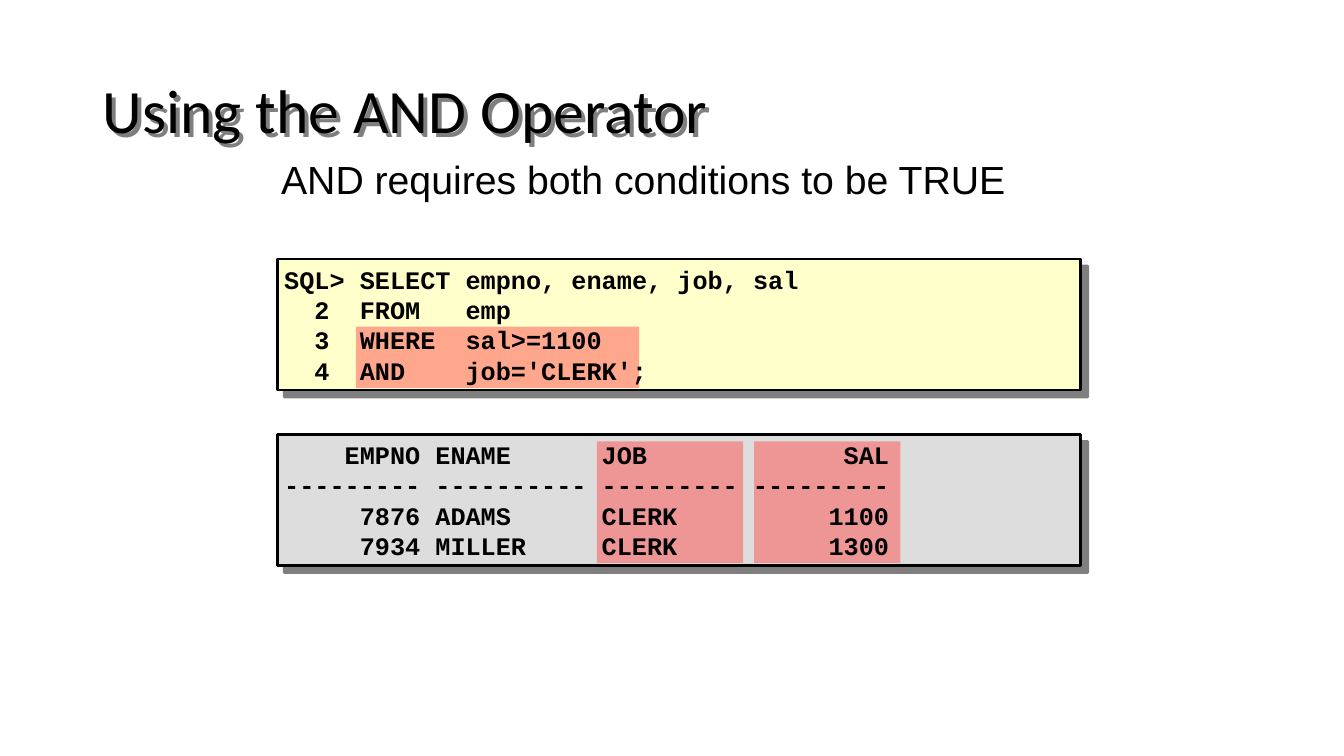
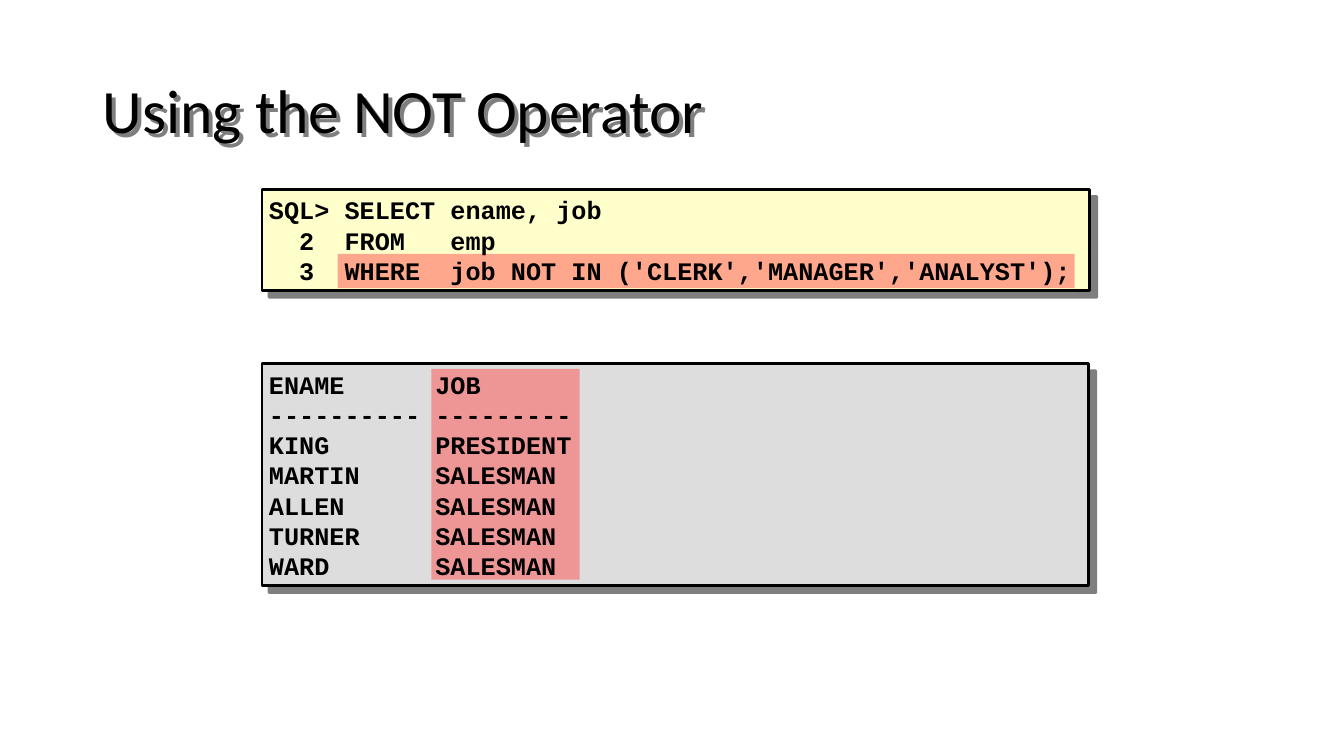
from dataclasses import dataclass

from lxml import etree
from pptx import Presentation
from pptx import util as u
from pptx.dml.color import RGBColor
from pptx.enum import shapes, text
from pptx.oxml import ns


# Shared look: colours, fonts and type sizes
@dataclass(frozen=True)
class Theme:
    ink: str = "000000"
    query_fill: str = "FFFFCC"
    result_fill: str = "DDDDDD"
    accent: str = "FF5050"
    title_font: str = "Calibri"
    body_font: str = "Arial"
    code_font: str = "Courier New"
    title_size: int = 44
    body_size: int = 28
    code_size: int = 18
    border: int = 2
    panel_shadow: float = 7.1
    title_shadow: float = 4.0


@dataclass(frozen=True)
class Box:
    """Left, top, width and height as percentages of the slide."""
    x: float
    y: float
    w: float
    h: float


@dataclass(frozen=True)
class Highlight:
    """A marked area in character columns and text rows of its panel."""
    column: float
    row: float
    columns: float
    rows: float


@dataclass(frozen=True)
class Tab:
    column: int
    align: str = "l"


@dataclass(frozen=True)
class Panel:
    box: Box
    fill: str
    tabs: tuple[Tab, ...]
    lines: tuple[str, ...]
    highlights: tuple[Highlight, ...]


@dataclass(frozen=True)
class Lesson:
    title: str
    panels: tuple[Panel, ...]
    statement: str = ""


THEME = Theme()
SLIDE_W, SLIDE_H = u.Inches(13.33), u.Inches(7.5)
CHAR_W, LINE_H = u.Inches(0.15), u.Inches(0.3)
INSET_X, INSET_Y = u.Inches(0.07), u.Inches(0.03)
CODE_SHIFT_X, CODE_SHIFT_Y = u.Inches(0.03), u.Inches(0.02)
TITLE_BOX = Box(6.9, 5.33, 86.27, 19.33)
STATEMENT_BOX = Box(20.18, 20.4, 56.11, 7.33)

QUERY_TABS = (Tab(2), Tab(5), Tab(12))
EMPLOYEE_TABS = (Tab(9, "r"), Tab(10), Tab(21), Tab(40, "r"))
JOB_TABS = (Tab(11),)

# Content
LESSONS = (
    Lesson(
        "Using the AND Operator",
        (
            Panel(
                Box(20.63, 34.27, 59.79, 17.33), THEME.query_fill, QUERY_TABS,
                ("SQL>\tSELECT empno, ename, job, sal",
                 "\t2\tFROM\temp",
                 "\t3\tWHERE\tsal>=1100",
                 "\t4\tAND\tjob='CLERK';"),
                (Highlight(4.73, 2.13, 18.73, 2.03),),
            ),
            Panel(
                Box(20.63, 57.47, 59.79, 17.33), THEME.result_fill, EMPLOYEE_TABS,
                ("\tEMPNO\tENAME\tJOB\tSAL",
                 "\t---------\t----------\t---------\t---------",
                 "\t7876\tADAMS\tCLERK\t1100",
                 "\t7934\tMILLER\tCLERK\t1300"),
                tuple(Highlight(column, 0.13, 9.67, 4.03) for column in (20.67, 31.07)),
            ),
        ),
        "AND requires both conditions to be TRUE",
    ),
    Lesson(
        "Using the NOT Operator",
        (
            Panel(
                Box(19.5, 25.07, 61.59, 13.33), THEME.query_fill, QUERY_TABS,
                ("SQL>\tSELECT ename, job",
                 "\t2\tFROM\temp",
                 "\t3\tWHERE\tjob NOT IN ('CLERK','MANAGER','ANALYST');"),
                (Highlight(4.53, 2.03, 48.73, 1.13),),
            ),
            Panel(
                Box(19.5, 48.13, 61.52, 29.33), THEME.result_fill, JOB_TABS,
                ("ENAME\tJOB",
                 "----------\t---------",
                 "KING\tPRESIDENT",
                 "MARTIN\tSALESMAN",
                 "ALLEN\tSALESMAN",
                 "TURNER\tSALESMAN",
                 "WARD\tSALESMAN"),
                (Highlight(10.73, 0.07, 9.8, 6.97),),
            ),
        ),
    ),
)


# Helpers
def place(box: Box) -> tuple[int, int, int, int]:
    return (int(SLIDE_W * box.x / 100), int(SLIDE_H * box.y / 100),
            int(SLIDE_W * box.w / 100), int(SLIDE_H * box.h / 100))


def add_alpha(color) -> None:
    etree.SubElement(color, ns.qn("a:alpha"), val="50000")


def cast_shadow(shape, distance: float) -> None:
    """Half-transparent shadow towards the lower right."""
    shape.shadow.inherit = False
    effects = shape._element.spPr.find(ns.qn("a:effectLst"))
    shadow = etree.SubElement(effects, ns.qn("a:outerShdw"), dist=str(u.Pt(distance)),
                              dir="2700000", algn="ctr", rotWithShape="0")
    add_alpha(etree.SubElement(shadow, ns.qn("a:srgbClr"), val=THEME.ink))


def add_run(paragraph, words: str, font: str, size: int, bold: bool = False) -> None:
    run = paragraph.add_run()
    run.text = words
    run.font.name, run.font.size, run.font.bold = font, u.Pt(size), bold
    run.font.color.rgb = RGBColor.from_string(THEME.ink)


def set_tabs(paragraph, tabs: tuple[Tab, ...]) -> None:
    stops = etree.SubElement(paragraph._p.get_or_add_pPr(), ns.qn("a:tabLst"))
    for tab in tabs:
        etree.SubElement(stops, ns.qn("a:tab"), pos=str(tab.column * CHAR_W), algn=tab.align)


def add_rectangle(slide, bounds: tuple[int, int, int, int], fill: str):
    rectangle = slide.shapes.add_shape(shapes.MSO_SHAPE.RECTANGLE, *bounds)
    rectangle.shadow.inherit = False
    rectangle.fill.solid()
    rectangle.fill.fore_color.rgb = RGBColor.from_string(fill)
    rectangle.line.fill.background()
    return rectangle


# Parts of a slide
def set_title(slide, words: str) -> None:
    title = slide.shapes.title
    title.left, title.top, title.width, title.height = place(TITLE_BOX)
    frame = title.text_frame
    frame.auto_size = text.MSO_AUTO_SIZE.NONE
    frame.vertical_anchor = text.MSO_ANCHOR.MIDDLE
    heading = frame.paragraphs[0]
    heading.alignment, heading.line_spacing = text.PP_ALIGN.LEFT, 0.9
    add_run(heading, words, THEME.title_font, THEME.title_size)
    cast_shadow(title, THEME.title_shadow)


def add_statement(slide, words: str) -> None:
    frame = slide.shapes.add_textbox(*place(STATEMENT_BOX)).text_frame
    frame.word_wrap = True
    sentence = frame.paragraphs[0]
    sentence.line_spacing = 0.95
    add_run(sentence, words, THEME.body_font, THEME.body_size)


def add_panel(slide, panel: Panel) -> None:
    left, top, width, height = place(panel.box)
    frame = add_rectangle(slide, (left, top, width, height), panel.fill)
    frame.line.color.rgb = RGBColor.from_string(THEME.ink)
    frame.line.width = u.Pt(THEME.border)
    cast_shadow(frame, THEME.panel_shadow)

    for mark in panel.highlights:
        bounds = (int(left + INSET_X + mark.column * CHAR_W),
                  int(top + INSET_Y + mark.row * LINE_H),
                  int(mark.columns * CHAR_W), int(mark.rows * LINE_H))
        band = add_rectangle(slide, bounds, THEME.accent)
        add_alpha(band._element.spPr.find(ns.qn("a:solidFill"))[0])

    code = slide.shapes.add_textbox(left - CODE_SHIFT_X, top - CODE_SHIFT_Y,
                                    width + CODE_SHIFT_X, height + 2 * CODE_SHIFT_Y).text_frame
    code.word_wrap = True
    code.vertical_anchor = text.MSO_ANCHOR.MIDDLE
    for index, line in enumerate(panel.lines):
        row = code.add_paragraph() if index else code.paragraphs[0]
        set_tabs(row, panel.tabs)
        add_run(row, line, THEME.code_font, THEME.code_size, bold=True)


# Build the deck
deck = Presentation()
deck.slide_width, deck.slide_height = SLIDE_W, SLIDE_H
title_only = deck.slide_layouts[5]
for lesson in LESSONS:
    page = deck.slides.add_slide(title_only)
    set_title(page, lesson.title)
    if lesson.statement:
        add_statement(page, lesson.statement)
    for part in lesson.panels:
        add_panel(page, part)
deck.save("out.pptx")
